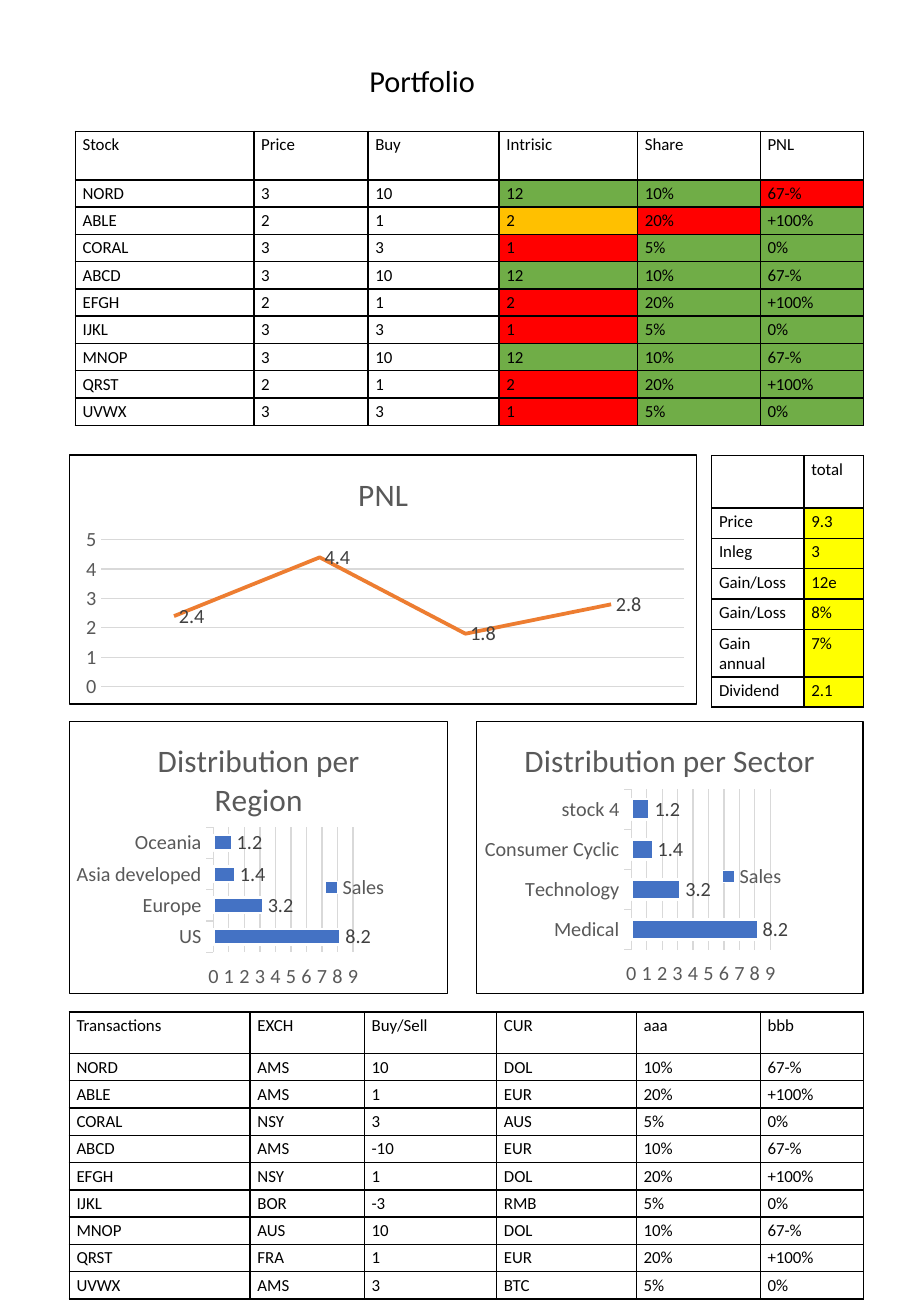
from lxml.etree import SubElement
from pptx import Presentation
from pptx.chart.data import CategoryChartData
from pptx.dml.color import RGBColor
from pptx.enum.chart import XL_CHART_TYPE, XL_LABEL_POSITION, XL_LEGEND_POSITION, XL_TICK_MARK
from pptx.enum.text import MSO_ANCHOR, PP_ALIGN
from pptx.oxml import parse_xml
from pptx.oxml.ns import nsdecls, qn
from pptx.util import Inches, Pt

FONT = "Calibri"
COLORS = {
    "black": "000000", "white": "FFFFFF", "green": "70AD47", "red": "FF0000",
    "amber": "FFC000", "yellow": "FFFF00", "axis": "595959", "label": "404040",
    "grid": "D9D9D9", "blue": "4472C4", "orange": "ED7D31",
}

TICKERS = ["NORD", "ABLE", "CORAL", "ABCD", "EFGH", "IJKL", "MNOP", "QRST", "UVWX"]
POSITIONS = [["3", "10", "12"], ["2", "1", "2"], ["3", "3", "1"]]
RESULTS = [["10%", "67-%"], ["20%", "+100%"], ["5%", "0%"]]
TRADES = [
    ["AMS", "10", "DOL"], ["AMS", "1", "EUR"], ["NSY", "3", "AUS"],
    ["AMS", "-10", "EUR"], ["NSY", "1", "DOL"], ["BOR", "-3", "RMB"],
    ["AUS", "10", "DOL"], ["FRA", "1", "EUR"], ["AMS", "3", "BTC"],
]
TOTALS = [
    ["", "total"], ["Price", "9.3"], ["Inleg", "3"], ["Gain/Loss", "12e"],
    ["Gain/Loss", "8%"], ["Gain annual", "7%"], ["Dividend", "2.1"],
]


def color(name):
    return RGBColor.from_string(COLORS[name])


def style_font(font, size, shade):
    font.name, font.size, font.bold = FONT, Pt(size), False
    font.color.rgb = color(shade)


def style_line(line, shade, width):
    line.color.rgb = color(shade)
    line.width = Pt(width)


def write(frame, text, size=10, shade="black", align=PP_ALIGN.LEFT):
    para = frame.paragraphs[0]
    para.alignment = align
    span = para.add_run()
    span.text = text
    style_font(span.font, size, shade)


def add_title(page):
    title = page.shapes.title
    title.left, title.top = Inches(2.94), Inches(0.46)
    title.width, title.height = Inches(5.03), Inches(0.4)
    title.text_frame.vertical_anchor = MSO_ANCHOR.MIDDLE
    write(title.text_frame, "Portfolio", size=18)


# Tables
def add_borders(cell):
    properties = cell._tc.get_or_add_tcPr()
    for index, side in enumerate(("lnL", "lnR", "lnT", "lnB")):
        properties.insert(index, parse_xml(
            f'<a:{side} {nsdecls("a")} w="12700"><a:solidFill>'
            f'<a:srgbClr val="{COLORS["black"]}"/></a:solidFill></a:{side}>'))


def add_grid(page, left, top, widths, heights, rows, fills):
    """Draw a bordered table; fills maps (row, column) to a colour name."""
    frame = page.shapes.add_table(
        len(rows), len(widths), Inches(left), Inches(top),
        Inches(sum(widths)), Inches(sum(heights)))
    table = frame.table
    table.first_row = table.horz_banding = False
    for column, width in zip(table.columns, widths):
        column.width = Inches(width)
    for r, (height, texts) in enumerate(zip(heights, rows)):
        table.rows[r].height = Inches(height)
        for c, text in enumerate(texts):
            cell = table.cell(r, c)
            cell.margin_left = cell.margin_right = Inches(0.06)
            cell.margin_top, cell.margin_bottom = Inches(0.03), Inches(0.02)
            if (r, c) in fills:
                cell.fill.solid()
                cell.fill.fore_color.rgb = color(fills[r, c])
            else:
                cell.fill.background()
            add_borders(cell)
            if text:
                write(cell.text_frame, text)


def portfolio_fills():
    fills = {(r, c): "green" for r in range(1, 10) for c in (3, 4, 5)}
    fills.update({(r, 3): "red" for r in range(1, 10) if r % 3 != 1})
    fills.update({(1, 5): "red", (2, 3): "amber", (2, 4): "red"})
    return fills


# Charts
def place(parent, index, target=None, **edges):
    """Give a chart part a manual layout in fractions of the chart."""
    for old in parent.findall(qn("c:layout")):
        parent.remove(old)
    layout = parse_xml(f'<c:layout {nsdecls("c")}/>')
    parent.insert(index, layout)
    manual = SubElement(layout, qn("c:manualLayout"))
    if target:
        SubElement(manual, qn("c:layoutTarget"), val=target)
    for mode in ("xMode", "yMode"):
        SubElement(manual, qn(f"c:{mode}"), val="edge")
    for edge, value in edges.items():
        SubElement(manual, qn(f"c:{edge}"), val=str(value))


def add_border(chart):
    chart.element.find(qn("c:chart")).addnext(parse_xml(
        f'<c:spPr {nsdecls("c", "a")}><a:noFill/><a:ln w="9525"><a:solidFill>'
        f'<a:srgbClr val="{COLORS["black"]}"/></a:solidFill></a:ln></c:spPr>'))


def add_graph(page, kind, title, box, plot_box, name, points, top_value, label_side):
    data = CategoryChartData()
    data.categories = [category for category, _ in points]
    data.add_series(name, [value for _, value in points])
    chart = page.shapes.add_chart(kind, *map(Inches, box), data).chart
    style_font(chart.font, 10, "black")
    add_border(chart)
    chart.has_title, chart.has_legend = True, False
    write(chart.chart_title.text_frame, title, size=18.6, shade="axis", align=PP_ALIGN.CENTER)
    place(chart.element.find(".//" + qn("c:plotArea")), 0, "inner", **dict(zip("xywh", plot_box)))

    axis = chart.value_axis
    axis.minimum_scale, axis.maximum_scale, axis.major_unit = 0, top_value, 1
    axis.format.line.fill.background()
    style_line(axis.major_gridlines.format.line, "grid", 0.75)
    style_font(axis.tick_labels.font, 12, "axis")

    plot = chart.plots[0]
    plot.vary_by_categories = False
    plot.has_data_labels = True
    labels = plot.data_labels
    labels.show_value, labels.position = True, label_side
    style_font(labels.font, 12, "label")
    return chart


def add_line_graph(page):
    points = list(zip("1234", [2.4, 4.4, 1.8, 2.8]))
    chart = add_graph(
        page, XL_CHART_TYPE.LINE, "PNL", (0.57, 3.74, 5.17, 2.06),
        (0.05, 0.34, 0.93, 0.59), "Series 1", points, 5, XL_LABEL_POSITION.RIGHT)
    chart.category_axis.visible = False
    chart.value_axis.major_tick_mark = XL_TICK_MARK.NONE
    series = chart.series[0]
    series.smooth = False
    style_line(series.format.line, "orange", 2.25)


def add_bar_graph(page, title, box, plot_box, legend_at, categories):
    points = list(zip(categories, [8.2, 3.2, 1.4, 1.2]))
    chart = add_graph(
        page, XL_CHART_TYPE.BAR_CLUSTERED, title, box, plot_box, "Sales",
        points, 9, XL_LABEL_POSITION.OUTSIDE_END)
    chart.plots[0].gap_width = 100
    chart.value_axis.major_tick_mark = XL_TICK_MARK.OUTSIDE
    axis = chart.category_axis
    axis.major_tick_mark = XL_TICK_MARK.OUTSIDE
    style_line(axis.format.line, "grid", 0.75)
    style_font(axis.tick_labels.font, 12, "axis")
    bars = chart.series[0].format
    bars.fill.solid()
    bars.fill.fore_color.rgb = color("blue")
    style_line(bars.line, "white", 1.5)
    chart.has_legend = True
    chart.legend.position = XL_LEGEND_POSITION.RIGHT
    chart.legend.include_in_layout = False
    style_font(chart.legend.font, 12, "axis")
    place(chart.element.find(".//" + qn("c:legend")), 1, **dict(zip("xy", legend_at)))


def main():
    deck = Presentation()
    deck.slide_width, deck.slide_height = Inches(7.5), Inches(10.83)
    page = deck.slides.add_slide(deck.slide_layouts[5])
    add_title(page)

    # Portfolio and transactions share tickers and results
    holdings = [["Stock", "Price", "Buy", "Intrisic", "Share", "PNL"]]
    trades = [["Transactions", "EXCH", "Buy/Sell", "CUR", "aaa", "bbb"]]
    for index, ticker in enumerate(TICKERS):
        result = RESULTS[index % 3]
        holdings.append([ticker, *POSITIONS[index % 3], *result])
        trades.append([ticker, *TRADES[index], *result])
    row_height = 2.02 / len(TICKERS)
    rows = [row_height] * len(TICKERS)
    add_grid(page, 0.62, 1.08, [1.47, 0.94, 1.08, 1.14, 1.01, 0.85], [0.4, *rows],
             holdings, portfolio_fills())
    add_grid(page, 0.57, 8.33, [1.49, 0.94, 1.09, 1.15, 1.02, 0.85], [0.34, *rows], trades, {})

    # Results over time with totals
    add_line_graph(page)
    add_grid(page, 5.86, 3.75, [0.76, 0.49], [0.43, *[0.25] * 4, 0.39, 0.25],
             TOTALS, {(r, 1): "yellow" for r in range(1, 7)})

    # Distributions
    add_bar_graph(page, "Distribution per Sector", (3.92, 5.93, 3.19, 2.25),
                  (0.4, 0.25, 0.36, 0.59), (0.62, 0.51),
                  ["Medical", "Technology", "Consumer Cyclic", "stock 4"])
    add_bar_graph(page, "Distribution per Region", (0.57, 5.93, 3.12, 2.25),
                  (0.38, 0.39, 0.37, 0.46), (0.66, 0.55),
                  ["US", "Europe", "Asia developed", "Oceania"])
    deck.save("out.pptx")


if __name__ == "__main__":
    main()
